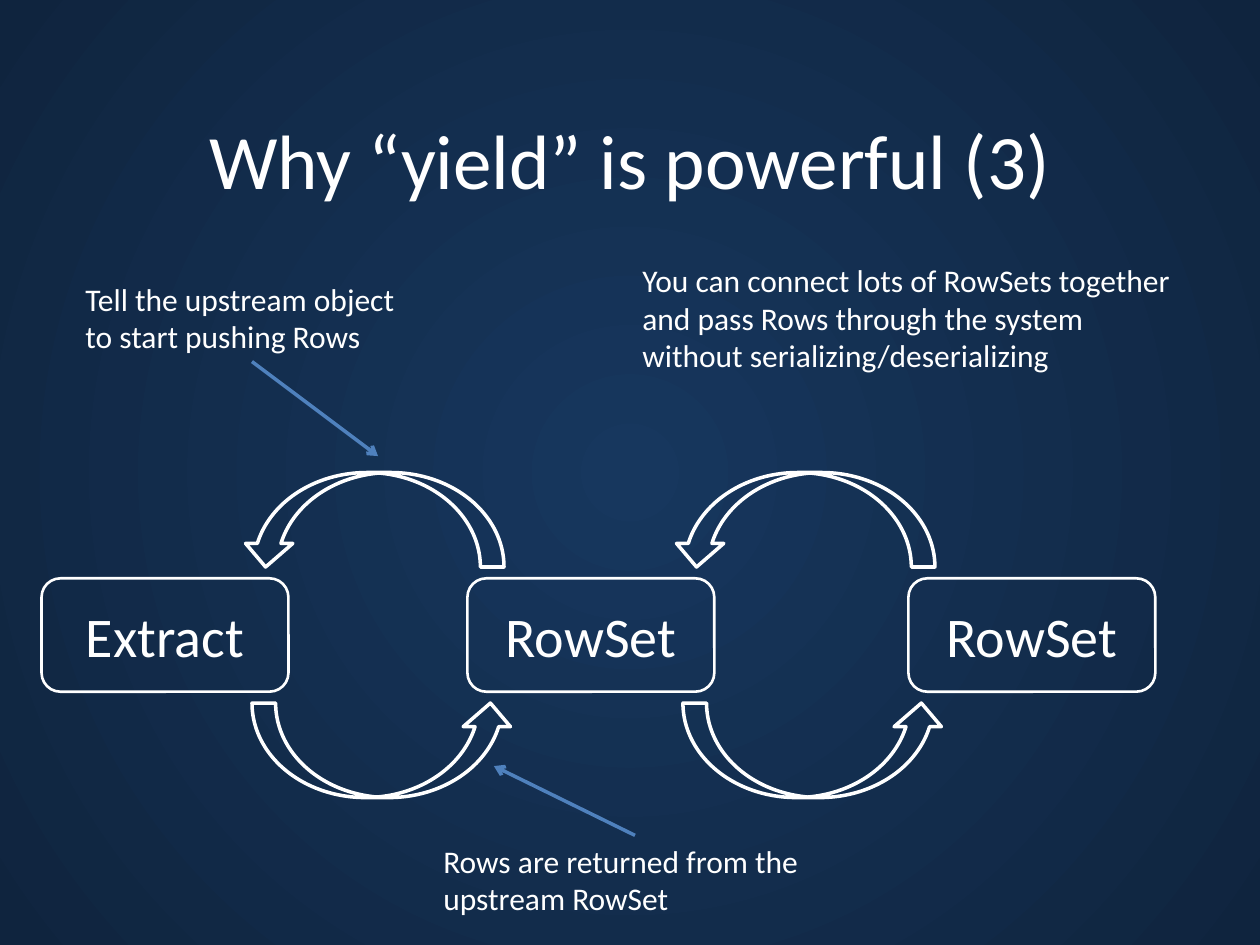
from dataclasses import dataclass

from lxml import etree
from pptx import Presentation
from pptx.dml.color import RGBColor
from pptx.enum import shapes, text
from pptx.oxml import ns
from pptx.util import Inches, Pt


@dataclass(frozen=True)
class Theme:
    font: str = "Calibri"
    white: RGBColor = RGBColor(0xFF, 0xFF, 0xFF)
    pointer: RGBColor = RGBColor(0x4F, 0x81, 0xBD)
    center: RGBColor = RGBColor(0x17, 0x37, 0x5E)
    edge: RGBColor = RGBColor(0x0F, 0x24, 0x3E)
    title_size: int = 44
    node_size: int = 32
    note_size: int = 18
    node_line: float = 1.5
    arrow_line: float = 2


THEME = Theme()


def paint_background(slide):
    """Fill the slide with a gradient that spreads from its centre."""
    fill = slide.background.fill
    fill.gradient()
    stops = zip(fill.gradient_stops, (THEME.center, THEME.edge), (0, 1))
    for stop, color, position in stops:
        stop.color.rgb = color
        stop.position = position
    gradient = slide.background._cSld.find(".//" + ns.qn("a:gradFill"))
    linear = gradient.find(ns.qn("a:lin"))
    circle = etree.Element(ns.qn("a:path"), path="circle")
    etree.SubElement(circle, ns.qn("a:fillToRect"),
                     dict.fromkeys("ltrb", "50000"))
    gradient.replace(linear, circle)


def write(shape, words, size, alignment, anchor):
    frame = shape.text_frame
    frame.word_wrap = True
    frame.vertical_anchor = anchor
    frame.text = words
    paragraph = frame.paragraphs[0]
    paragraph.alignment = alignment
    font = paragraph.runs[0].font
    font.name = THEME.font
    font.size = Pt(size)
    font.color.rgb = THEME.white


def place_title(slide, box, words):
    title = slide.shapes.title
    title.left, title.top, title.width, title.height = map(Inches, box)
    write(title, words, THEME.title_size, text.PP_ALIGN.CENTER,
          text.MSO_ANCHOR.MIDDLE)


def add_note(slide, box, words):
    note = slide.shapes.add_textbox(*map(Inches, box))
    write(note, words, THEME.note_size, text.PP_ALIGN.LEFT,
          text.MSO_ANCHOR.TOP)


def add_pointer(slide, start, end):
    pointer = slide.shapes.add_connector(
        shapes.MSO_CONNECTOR.STRAIGHT, *map(Inches, start + end))
    pointer.line.color.rgb = THEME.pointer
    pointer.line.width = Pt(THEME.arrow_line)
    etree.SubElement(pointer.line._get_or_add_ln(), ns.qn("a:tailEnd"),
                     type="arrow")
    etree.SubElement(pointer._element.spPr, ns.qn("a:effectLst"))


def add_outline(slide, kind, box, line_width):
    shape = slide.shapes.add_shape(kind, *map(Inches, box))
    shape.shadow.inherit = False
    shape.fill.background()
    shape.line.color.rgb = THEME.white
    shape.line.width = Pt(line_width)
    return shape


def add_pipeline(slide, box, nodes):
    """Draw nodes, given as (offset, label), with a pull and a push arrow
    between neighbours."""
    left, top, _, height = box
    node_width, node_height = 1.96, 0.9
    arrow_width, arrow_height = 2.08, 0.75
    first_arrow, arrow_step = 1.67, 3.42
    arrow_kind = shapes.MSO_SHAPE.CURVED_UP_ARROW

    for offset, label in nodes:
        node = add_outline(
            slide, shapes.MSO_SHAPE.ROUNDED_RECTANGLE,
            (left + offset, top + (height - node_height) / 2,
             node_width, node_height), THEME.node_line)
        write(node, label, THEME.node_size, text.PP_ALIGN.CENTER,
              text.MSO_ANCHOR.MIDDLE)

    for gap in range(len(nodes) - 1):
        push_left = left + first_arrow + gap * arrow_step
        add_outline(slide, arrow_kind,
                    (push_left, top + height - arrow_height,
                     arrow_width, arrow_height), THEME.arrow_line)
        pull = add_outline(slide, arrow_kind,
                           (push_left - 0.08, top, arrow_width, arrow_height),
                           THEME.arrow_line)
        pull.rotation = 180


def main():
    presentation = Presentation()
    presentation.slide_width = Inches(10)
    presentation.slide_height = Inches(7.5)
    slide = presentation.slides.add_slide(presentation.slide_layouts[5])

    paint_background(slide)
    place_title(slide, (0.5, 0.77, 9, 0.98), "Why “yield” is powerful (3)")
    add_note(slide, (0.58, 2.17, 2.83, 0.71),
             "Tell the upstream object to start pushing Rows")
    add_note(slide, (5, 2.02, 4.5, 1.01),
             "You can connect lots of RowSets together and pass Rows through "
             "the system without serializing/deserializing")
    add_note(slide, (3.42, 6.63, 3.25, 0.71),
             "Rows are returned from the upstream RowSet")
    add_pointer(slide, (2, 2.87), (3, 3.62))
    add_pointer(slide, (5.04, 6.63), (3.92, 6.08))
    add_pipeline(slide, (0.33, 3.75, 8.84, 2.58),
                 ((0, "Extract"), (3.38, "RowSet"), (6.88, "RowSet")))

    presentation.save("out.pptx")


if __name__ == "__main__":
    main()
